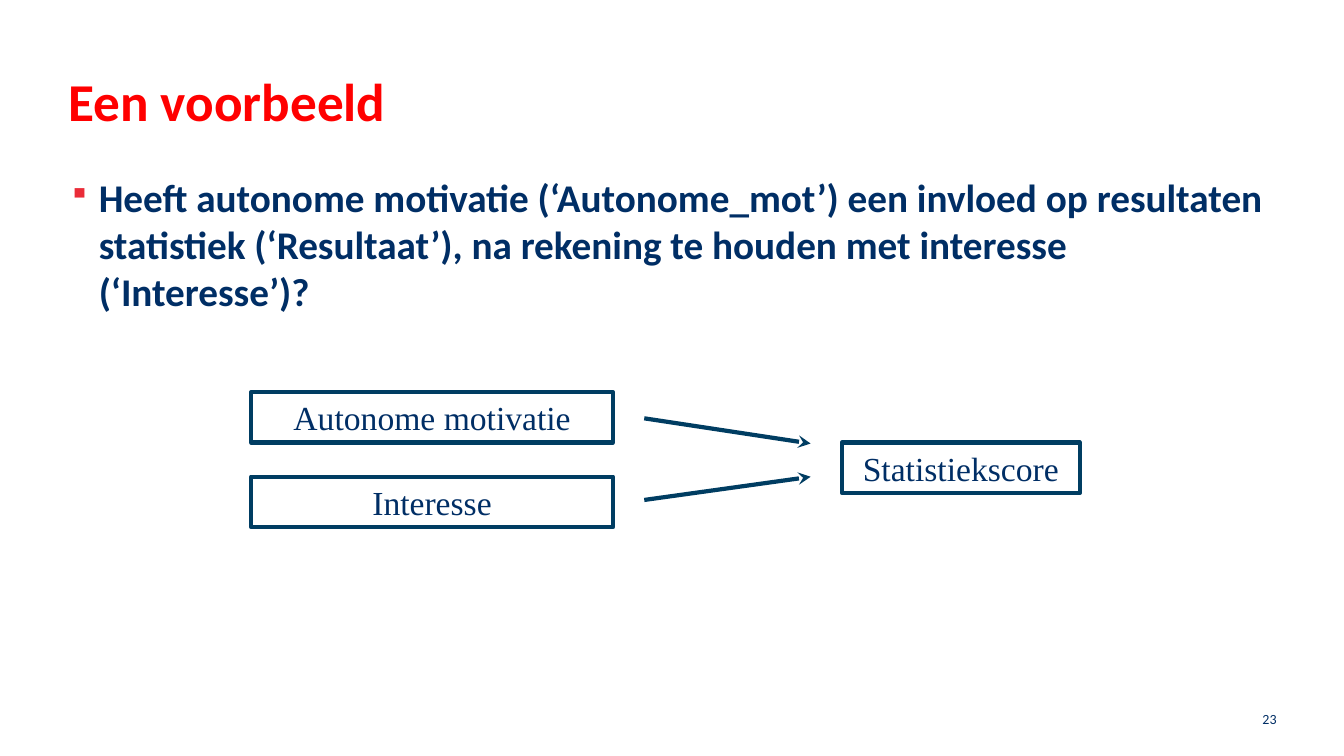
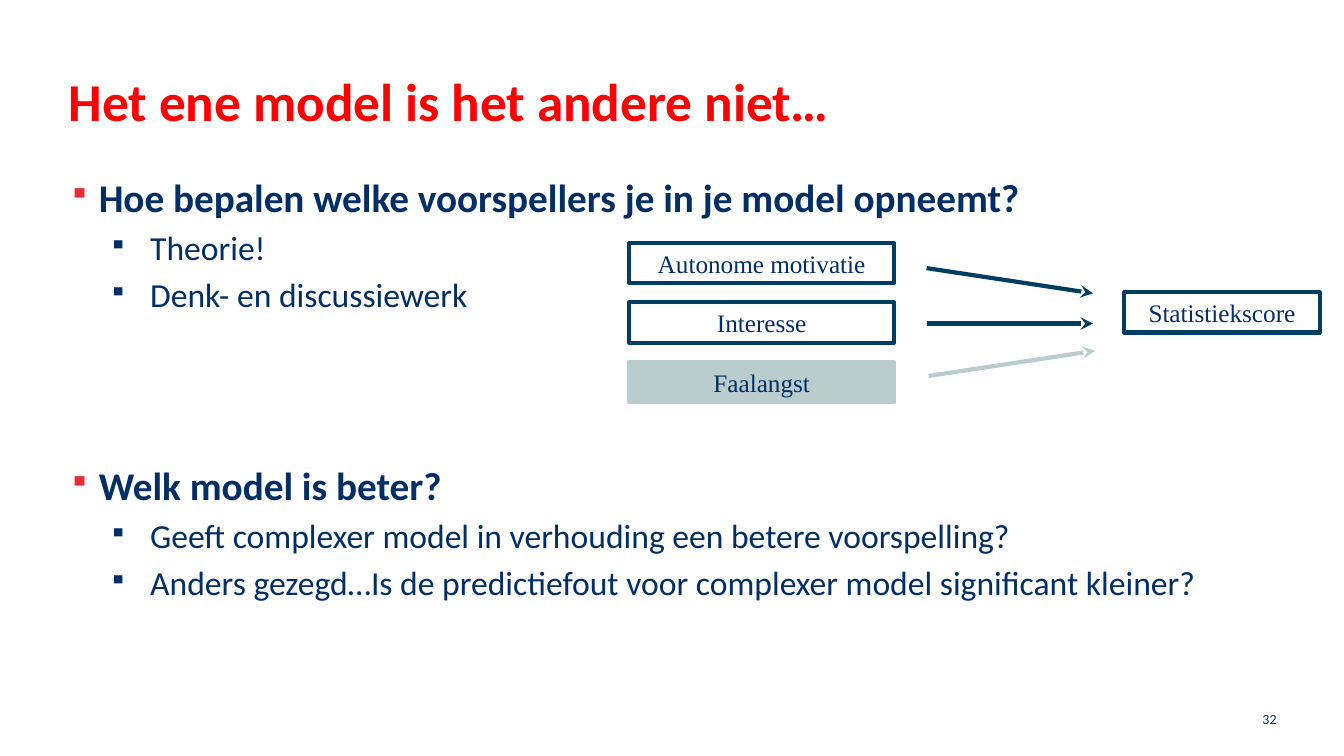
from lxml.etree import SubElement
from pptx import Presentation
from pptx.dml.color import RGBColor
from pptx.enum.shapes import MSO_CONNECTOR, MSO_SHAPE
from pptx.enum.text import MSO_ANCHOR, PP_ALIGN
from pptx.oxml.ns import qn
from pptx.util import Pt

PX = 9144  # 100 px to the inch
COLORS = {
    "title": "FF0000",
    "text": "002E65",
    "bullet": "EA2C38",
    "line": "003D62",
    "faded": "BBCCCC",
}
TITLE_BOX = (68, 68, 1197, 87)
BODY_BOX = (68, 172, 1197, 510)
NUMBER_BOX = (976, 693, 300, 40)
LINE_WIDTH = Pt(3)
ARROW_WIDTH = 165

FONTS = {
    "title": {"name": "Calibri", "size": Pt(38), "bold": True},
    "number": {"name": "Calibri", "size": Pt(10), "bold": False},
    "point": {"name": "Calibri", "size": Pt(28), "bold": True},
    "detail": {"name": "Calibri", "size": Pt(24), "bold": False},
}
# Text left edge and bullet hang in px, space before in points
LEVELS = {
    "point": {"left": 30, "hang": 30, "before": 5.6, "bullet": "bullet"},
    "detail": {"left": 81, "hang": 41, "before": 4.8, "bullet": "text"},
}

SLIDES = [
    {
        "title": "Een voorbeeld",
        "number": "23",
        "body": [
            ("point", "Heeft autonome motivatie (‘Autonome_mot’) een invloed op "
                      "resultaten statistiek (‘Resultaat’), na rekening te houden "
                      "met interesse (‘Interesse’)?"),
        ],
        "model": {
            "size": 24,
            "predictors": [("Autonome motivatie", "line"), ("Interesse", "line")],
            "first": (249, 389, 359, 50),
            "pitch": 84,
            "outcome": ("Statistiekscore", (835, 439, 236, 50)),
            "arrows": [(639, 415, 440), (639, 496, 473)],
        },
    },
    {
        "title": "Het ene model is het andere niet…",
        "number": "32",
        "body": [
            ("point", "Hoe bepalen welke voorspellers je in je model opneemt?"),
            ("detail", "Theorie!"),
            ("detail", "Denk- en discussiewerk"),
            ("point", "Welk model is beter?", 105),
            ("detail", "Geeft complexer model in verhouding een betere voorspelling?"),
            ("detail", "Anders gezegd…Is de predictiefout voor complexer model "
                       "significant kleiner?"),
        ],
        "model": {
            "size": 18,
            "predictors": [("Autonome motivatie", "line"), ("Interesse", "line"),
                           ("Faalangst", "faded")],
            "first": (624, 241, 263, 40),
            "pitch": 59,
            "outcome": ("Statistiekscore", (1115, 290, 194, 40)),
            "arrows": [(919, 266, 291), (919, 321, 321), (921, 373, 348)],
        },
    },
]


def emu(lengths):
    return [length * PX for length in lengths]


def rgb(name):
    return RGBColor.from_string(COLORS[name])


def add_span(para, text, style, color="text"):
    span = para.add_run()
    span.text = text
    for name, value in style.items():
        setattr(span.font, name, value)
    span.font.color.rgb = rgb(color)


def add_frame(page, place, margin=None):
    frame = page.shapes.add_textbox(*emu(place)).text_frame
    frame.word_wrap = True
    if margin is not None:
        for side in ("left", "top", "right", "bottom"):
            setattr(frame, f"margin_{side}", margin)
    return frame


def add_bullet(para, level):
    properties = para._p.get_or_add_pPr()
    properties.set("marL", str(level["left"] * PX))
    properties.set("indent", str(-level["hang"] * PX))
    color = SubElement(properties, qn("a:buClr"))
    SubElement(color, qn("a:srgbClr"), val=COLORS[level["bullet"]])
    SubElement(properties, qn("a:buSzPct"), val="75000")
    SubElement(properties, qn("a:buChar"), char="▪")


def add_body(page, items):
    frame = add_frame(page, BODY_BOX, 0)
    for index, (kind, text, *before) in enumerate(items):
        para = frame.add_paragraph() if index else frame.paragraphs[0]
        add_bullet(para, LEVELS[kind])
        if index:
            para.space_before = Pt(before[0] if before else LEVELS[kind]["before"])
        add_span(para, text, FONTS[kind])


def add_variable(page, text, place, size, color="line"):
    """Draw one variable of the model; a faded one is filled."""
    box = page.shapes.add_shape(MSO_SHAPE.RECTANGLE, *emu(place))
    box.shadow.inherit = False
    if color == "faded":
        box.fill.solid()
        box.fill.fore_color.rgb = rgb(color)
    else:
        box.fill.background()
    box.line.color.rgb = rgb(color)
    box.line.width = LINE_WIDTH
    para = box.text_frame.paragraphs[0]
    para.alignment = PP_ALIGN.CENTER
    add_span(para, text, {"name": "Times New Roman", "size": Pt(size)})


def add_arrow(page, left, start, end, color):
    arrow = page.shapes.add_connector(
        MSO_CONNECTOR.STRAIGHT, *emu((left, start, left + ARROW_WIDTH, end)))
    arrow.line.color.rgb = rgb(color)
    arrow.line.width = LINE_WIDTH
    SubElement(arrow.line._get_or_add_ln(), qn("a:tailEnd"), type="stealth")
    SubElement(arrow._element.spPr, qn("a:effectLst"))


def add_model(page, model):
    left, top, width, height = model["first"]
    rows = zip(model["predictors"], model["arrows"])
    for index, ((text, color), arrow) in enumerate(rows):
        place = (left, top + index * model["pitch"], width, height)
        add_variable(page, text, place, model["size"], color)
        add_arrow(page, *arrow, color)
    add_variable(page, *model["outcome"], model["size"])


def add_page(deck, content):
    page = deck.slides.add_slide(deck.slide_layouts[6])
    title = add_frame(page, TITLE_BOX, 0)
    add_span(title.paragraphs[0], content["title"], FONTS["title"], "title")
    number = add_frame(page, NUMBER_BOX)
    number.vertical_anchor = MSO_ANCHOR.MIDDLE
    number.paragraphs[0].alignment = PP_ALIGN.RIGHT
    add_span(number.paragraphs[0], content["number"], FONTS["number"])
    add_body(page, content["body"])
    add_model(page, content["model"])


def main():
    deck = Presentation()
    deck.slide_width, deck.slide_height = emu((1333, 750))
    for content in SLIDES:
        add_page(deck, content)
    deck.save("out.pptx")


if __name__ == "__main__":
    main()
